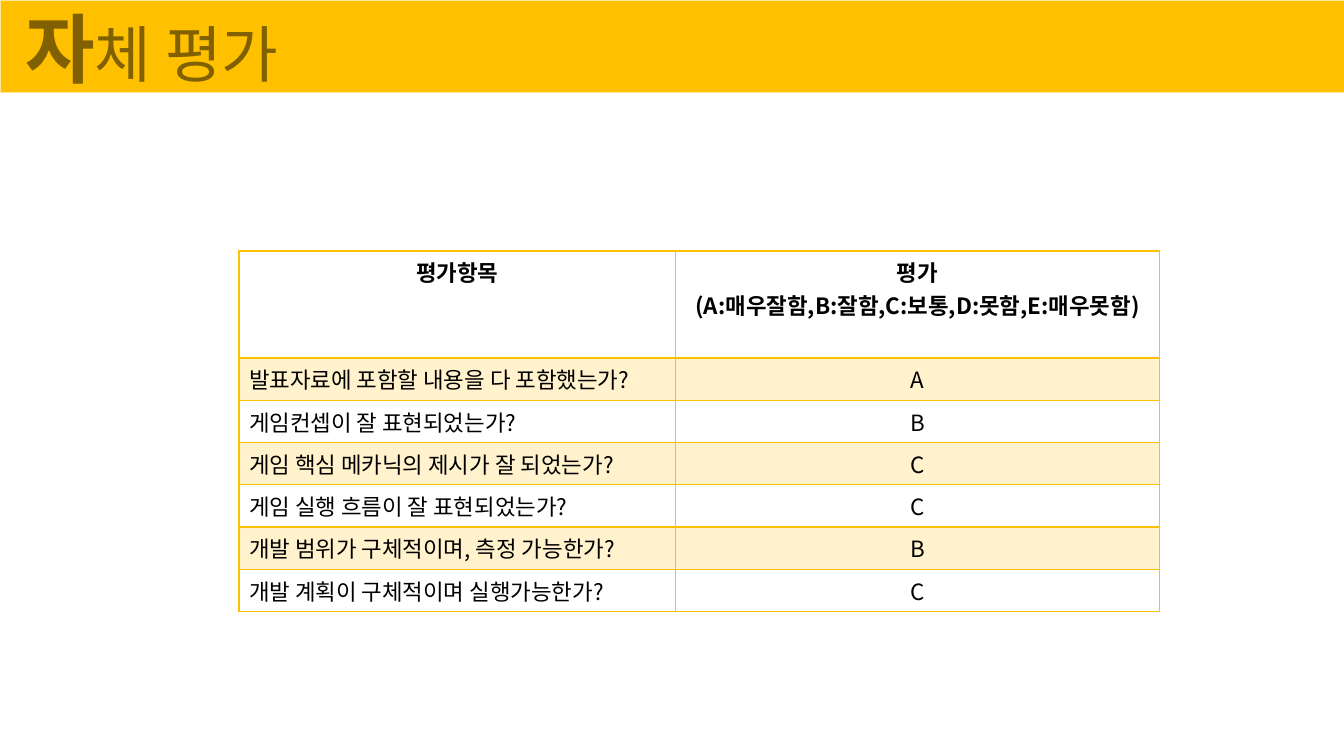
from pptx import Presentation
from pptx.dml.color import RGBColor
from pptx.enum.shapes import MSO_SHAPE
from pptx.enum.text import MSO_ANCHOR, PP_ALIGN
from pptx.oxml.ns import qn
from pptx.util import Inches, Pt
from lxml.etree import SubElement

# Content
TITLE = [("자", 54, True), ("체 평가", 44, False)]
HEAD = (["평가항목"], ["평가", "(A:매우잘함,B:잘함,C:보통,D:못함,E:매우못함)"])
ITEMS = [
    ("발표자료에 포함할 내용을 다 포함했는가?", "A"),
    ("게임컨셉이 잘 표현되었는가?", "B"),
    ("게임 핵심 메카닉의 제시가 잘 되었는가?", "C"),
    ("게임 실행 흐름이 잘 표현되었는가?", "C"),
    ("개발 범위가 구체적이며, 측정 가능한가?", "B"),
    ("개발 계획이 구체적이며 실행가능한가?", "C"),
]
FONT = "Noto Sans CJK KR"
COLORS = {"gold": "FFC000", "pale": "FFE699", "band": "FFF2CC",
          "brown": "806000", "black": "000000"}
WIDTHS = (4.33, 4.8)
HEAD_H, ROW_H = 1.06, 0.42


def color(name):
    return RGBColor.from_string(COLORS[name])


def write(para, text, size=16, bold=False, ink="black", align=PP_ALIGN.LEFT):
    para.alignment = align
    run = para.add_run()
    run.text = text
    font = run.font
    font.name, font.size, font.bold = FONT, Pt(size), bold
    font.color.rgb = color(ink)
    SubElement(font._element, qn("a:ea"), typeface=FONT)


def border(cell, **widths):
    props = cell._tc.get_or_add_tcPr()
    for spot, side in enumerate("LRTB"):
        line = props.makeelement(qn(f"a:ln{side}"), {"w": str(Pt(widths.get(side, 1)))})
        fill = SubElement(line, qn("a:solidFill"))
        SubElement(fill, qn("a:srgbClr"), val=COLORS["gold"])
        props.insert(spot, line)


deck = Presentation()
deck.slide_width, deck.slide_height = Inches(13.33), Inches(7.5)
slide = deck.slides.add_slide(deck.slide_layouts[6])

# Title bar
bar = slide.shapes.add_shape(MSO_SHAPE.RECTANGLE, 0, 0, Inches(14.43), Inches(0.92))
bar.shadow.inherit = False
bar.fill.solid()
bar.fill.fore_color.rgb = color("gold")
bar.line.color.rgb = color("pale")
bar.line.width = Pt(1)

# Title
box = slide.shapes.add_textbox(Inches(0.15), Inches(0.1), Inches(2.85), Inches(0.86))
frame = box.text_frame
frame.word_wrap = True
frame.vertical_anchor = MSO_ANCHOR.MIDDLE
frame.paragraphs[0].line_spacing = 0.9
for text, size, bold in TITLE:
    write(frame.paragraphs[0], text, size=size, bold=bold, ink="brown")

# Evaluation table
rows = [HEAD] + [([item], [grade]) for item, grade in ITEMS]
height = HEAD_H + ROW_H * len(ITEMS)
table = slide.shapes.add_table(len(rows), len(WIDTHS), Inches(2.37), Inches(2.49),
                               Inches(sum(WIDTHS)), Inches(height)).table
table.first_row = table.horz_banding = False
for col, width in zip(table.columns, WIDTHS):
    col.width = Inches(width)
for r, row in enumerate(rows):
    head = r == 0
    table.rows[r].height = Inches(HEAD_H if head else ROW_H)
    for c, lines in enumerate(row):
        cell = table.cell(r, c)
        if r % 2:
            cell.fill.solid()
            cell.fill.fore_color.rgb = color("band")
        else:
            cell.fill.background()
        border(cell, T=2 if r == 1 else 1, B=2 if head else 1)
        for n, text in enumerate(lines):
            para = cell.text_frame.add_paragraph() if n else cell.text_frame.paragraphs[0]
            write(para, text, bold=head,
                  align=PP_ALIGN.CENTER if head or c else PP_ALIGN.LEFT)

deck.save("out.pptx")
